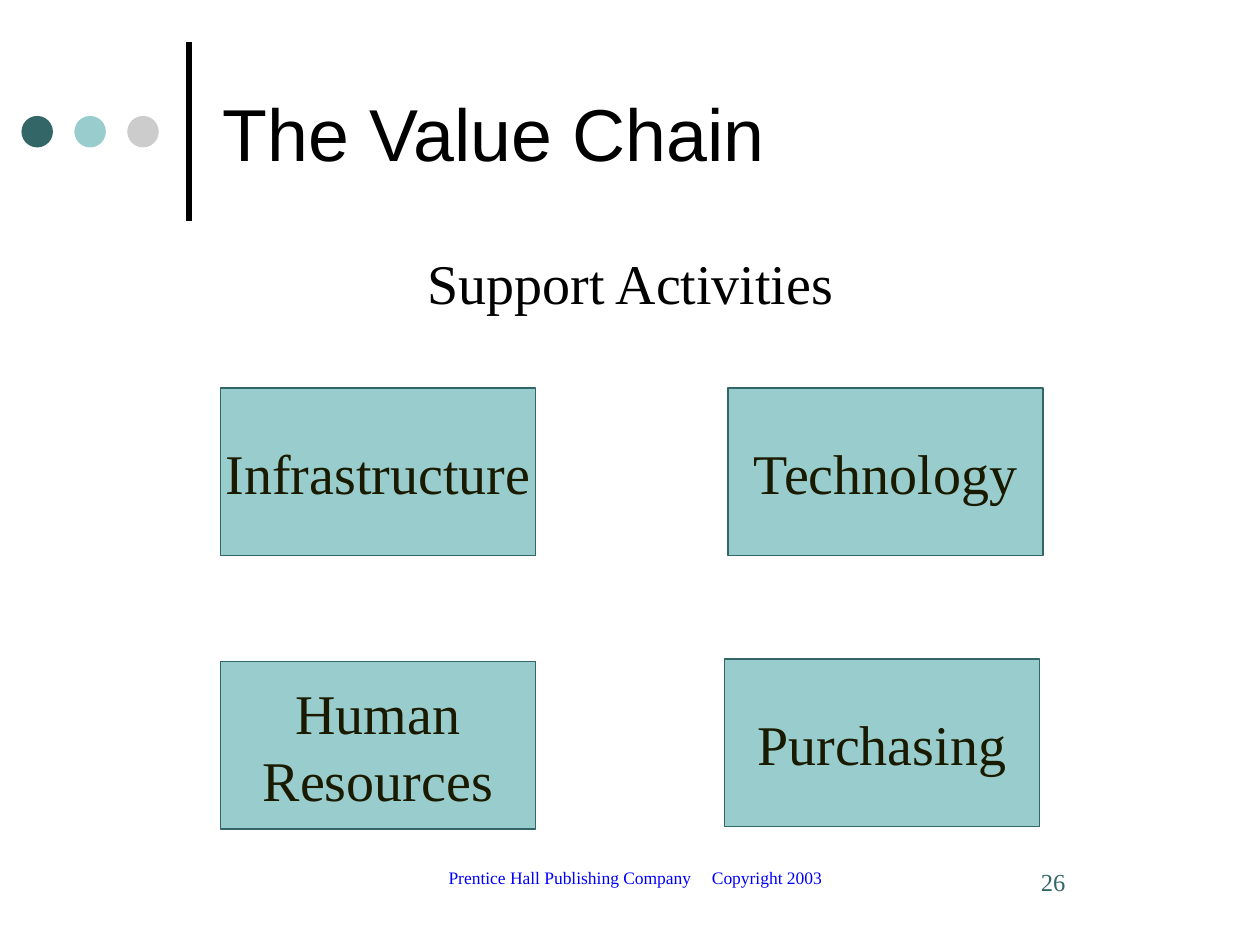
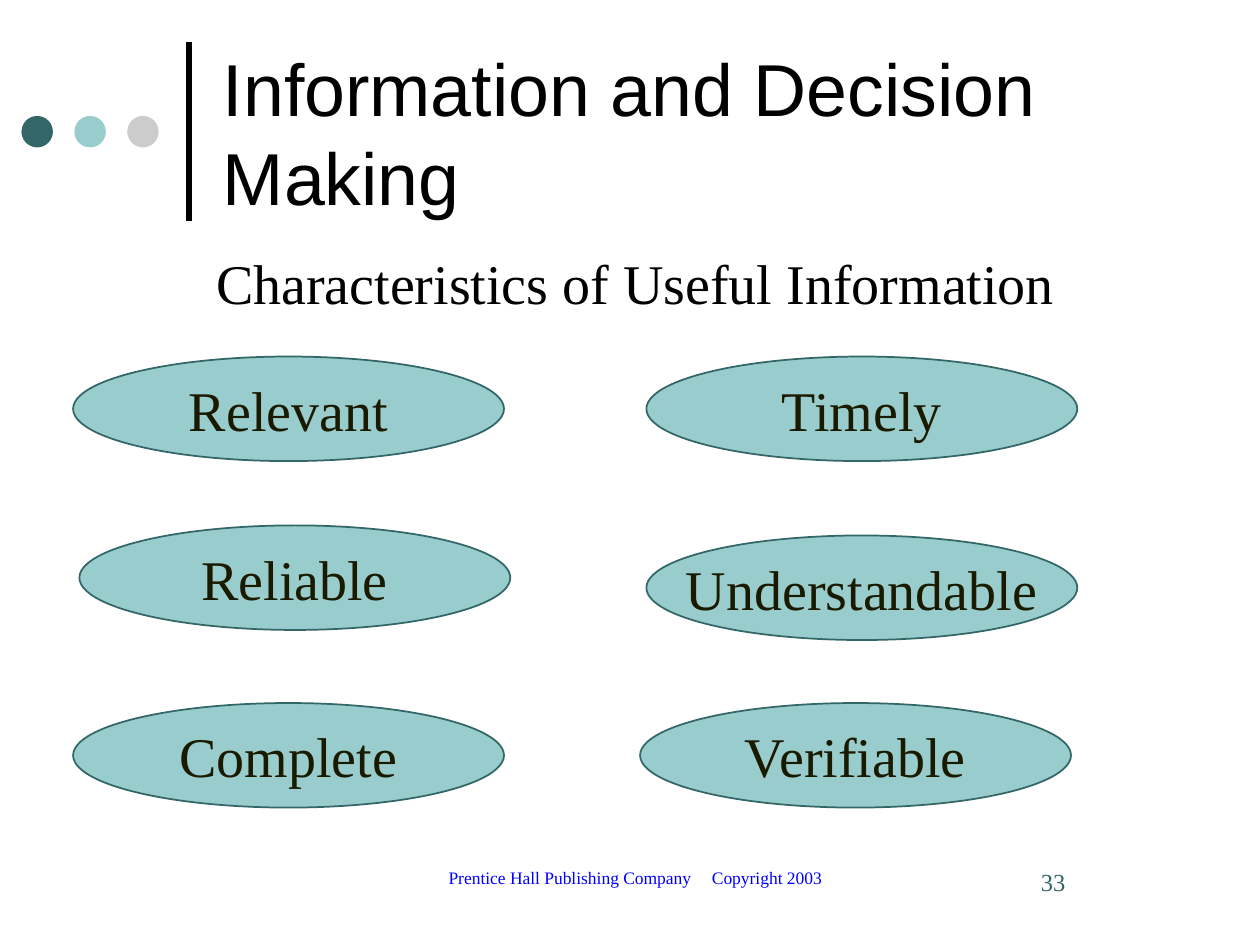
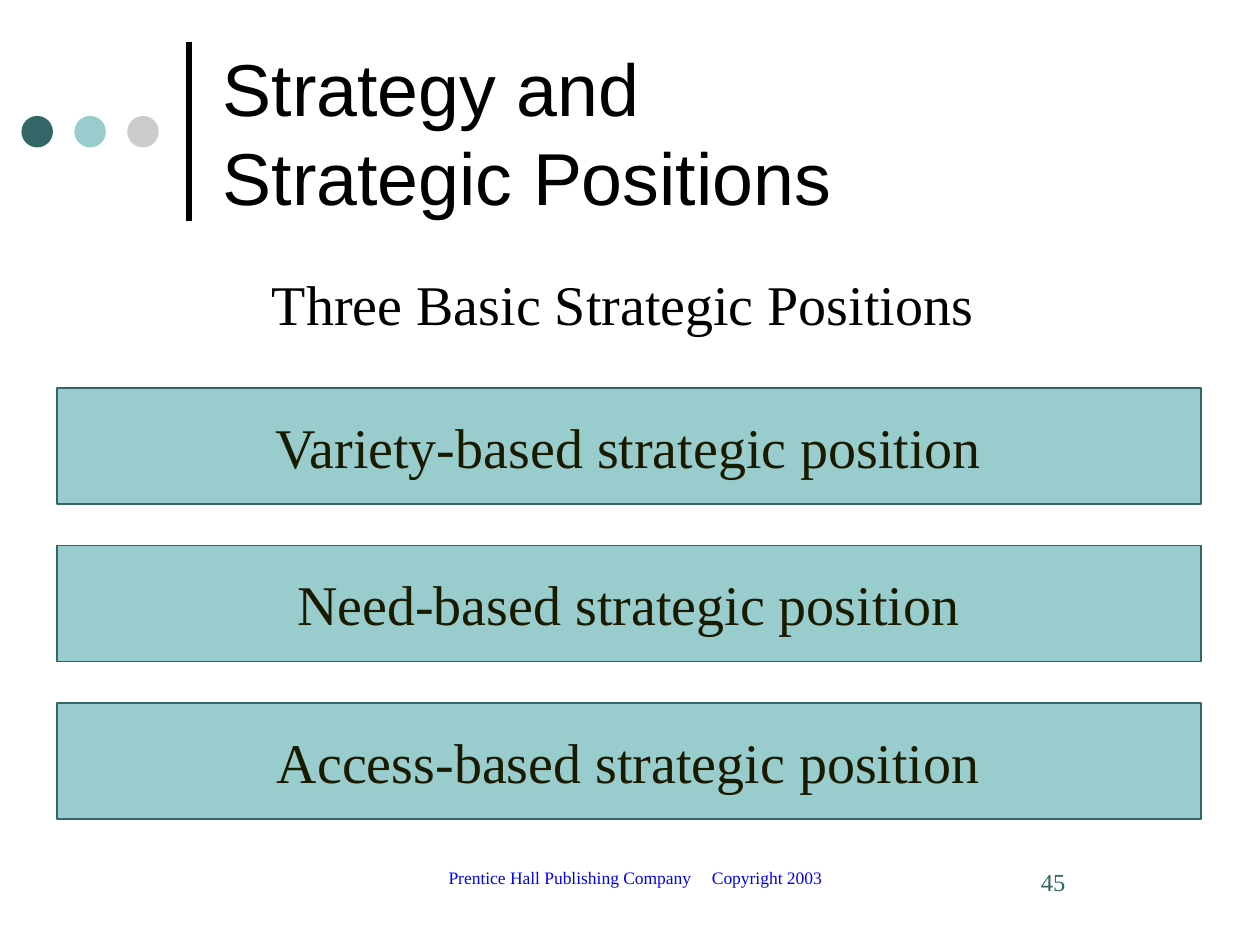
from dataclasses import dataclass

from lxml import etree
from pptx import Presentation
from pptx import util as u
from pptx.dml.color import RGBColor
from pptx.enum import shapes, text
from pptx.oxml import ns


@dataclass(frozen=True)
class Theme:
    black: str = "000000"
    teal: str = "336666"
    aqua: str = "99CCCC"
    grey: str = "CCCCCC"
    ink: str = "1A1A00"
    blue: str = "0000FF"
    heading_font: str = "Arial"
    body_font: str = "Times New Roman"
    title_size: int = 42
    body_size: int = 32
    number_size: int = 14
    footer_size: int = 10


THEME = Theme()
RECTANGLE = shapes.MSO_SHAPE.RECTANGLE
OVAL = shapes.MSO_SHAPE.OVAL
CENTER = text.PP_ALIGN.CENTER
MIDDLE = text.MSO_ANCHOR.MIDDLE


def inches(box):
    return [u.Inches(value) for value in box]


def set_attributes(target, values):
    for name, value in values.items():
        setattr(target, name, value)


def write_text(shape, words, size, color, font=THEME.body_font,
               align=text.PP_ALIGN.LEFT, **frame_format):
    """Fill a shape with text, one paragraph per line."""
    frame = shape.text_frame
    set_attributes(frame, {"word_wrap": True, **frame_format})
    frame.text = words
    for paragraph in frame.paragraphs:
        paragraph.alignment = align
        set_attributes(paragraph.font, {"name": font, "size": u.Pt(size)})
        paragraph.font.color.rgb = RGBColor.from_string(color)


def add_text(slide, box, words, size, color, **formats):
    textbox = slide.shapes.add_textbox(*inches(box))
    write_text(textbox, words, size, color, **formats)
    return textbox


def add_filled(slide, preset, box, fill, outline=None):
    shape = slide.shapes.add_shape(preset, *inches(box))
    shape.shadow.inherit = False
    shape.fill.solid()
    shape.fill.fore_color.rgb = RGBColor.from_string(fill)
    if outline:
        shape.line.color.rgb = RGBColor.from_string(outline)
        shape.line.width = u.Pt(1)
    else:
        shape.line.fill.background()
    return shape


def add_header(slide, box, title):
    left, top, width, height = box

    # Vertical rule beside the title
    rule_left = left + 1.33
    rule = slide.shapes.add_connector(
        shapes.MSO_CONNECTOR.STRAIGHT,
        *inches((rule_left, top + 1.54, rule_left, top + 0.12)))
    rule.line.color.rgb = RGBColor.from_string(THEME.black)
    rule.line.width = u.Pt(3)
    etree.SubElement(rule._element.spPr, ns.qn("a:effectLst"))

    # Row of dots
    for index, color in enumerate((THEME.teal, THEME.aqua, THEME.grey)):
        dot_box = (left + 0.42 * index, top + 0.71, 0.25, 0.25)
        add_filled(slide, OVAL, dot_box, color)

    # Title
    add_text(slide, (left + 1.5, top, width - 1.5, height), title,
             THEME.title_size, THEME.black, font=THEME.heading_font,
             vertical_anchor=MIDDLE)


def add_footer(slide, box, number):
    left, top, width, height = box

    # Copyright line, its two parts set apart by a tab stop
    notice = add_text(slide, (left, top, 4.42, height),
                      "Prentice Hall Publishing Company\tCopyright 2003",
                      THEME.footer_size, THEME.blue,
                      margin_left=u.Inches(0.73))
    properties = notice.text_frame.paragraphs[0]._p.get_or_add_pPr()
    tab_list = etree.Element(ns.qn("a:tabLst"))
    etree.SubElement(tab_list, ns.qn("a:tab"),
                     pos=str(u.Inches(2.09)), algn="l")
    properties.insert(0, tab_list)

    # Slide number
    add_text(slide, (left + width - 1.42, top, 1.42, height), str(number),
             THEME.number_size, THEME.teal, margin_left=u.Inches(0.34))


def add_panels(slide, box, preset, panels):
    """Place equal panels at offsets from the corner of the box."""
    left, top, width, height = box
    for label, across, down in panels:
        panel = add_filled(slide, preset,
                           (left + across, top + down, width, height),
                           THEME.aqua, THEME.teal)
        write_text(panel, label, THEME.body_size, THEME.ink, align=CENTER,
                   word_wrap=False, vertical_anchor=MIDDLE)


def add_panel_slide(presentation, title, number, subtitle, subtitle_box,
                    preset, first_panel, panels):
    slide = presentation.slides.add_slide(presentation.slide_layouts[6])
    add_header(slide, (0.17, 0.21, 9.17, 1.67), title)
    add_text(slide, subtitle_box, subtitle, THEME.body_size, THEME.black,
             align=CENTER)
    add_panels(slide, first_panel, preset, panels)
    add_footer(slide, (2.83, 6.83, 6.51, 0.5), number)


def main():
    presentation = Presentation()
    set_attributes(presentation, {"slide_width": u.Inches(10),
                                  "slide_height": u.Inches(7.5)})

    # Support activities
    add_panel_slide(
        presentation, "The Value Chain", 26,
        "Support Activities", (3.09, 1.92, 3.83, 0.63),
        RECTANGLE, (1.75, 3.08, 2.5, 1.33),
        [("Infrastructure", 0, 0), ("Human\nResources", 0, 2.17),
         ("Technology", 4.03, 0), ("Purchasing", 4, 2.15)])

    # Qualities of information
    add_panel_slide(
        presentation, "Information and Decision Making", 33,
        "Characteristics of Useful Information", (0.92, 1.92, 8.25, 0.63),
        OVAL, (0.58, 2.83, 3.42, 0.83),
        [("Understandable", 4.55, 1.42), ("Verifiable", 4.5, 2.75),
         ("Timely", 4.55, 0), ("Relevant", 0, 0),
         ("Reliable", 0.05, 1.34), ("Complete", 0, 2.75)])

    # Strategic positions
    add_panel_slide(
        presentation, "Strategy and\vStrategic Positions", 45,
        "Three Basic Strategic Positions", (1.24, 2.09, 7.41, 0.63),
        RECTANGLE, (0.45, 3.08, 9.08, 0.92),
        [(f"{basis}-based strategic position", 0, 1.25 * row)
         for row, basis in enumerate(("Variety", "Need", "Access"))])

    presentation.save("out.pptx")


if __name__ == "__main__":
    main()
